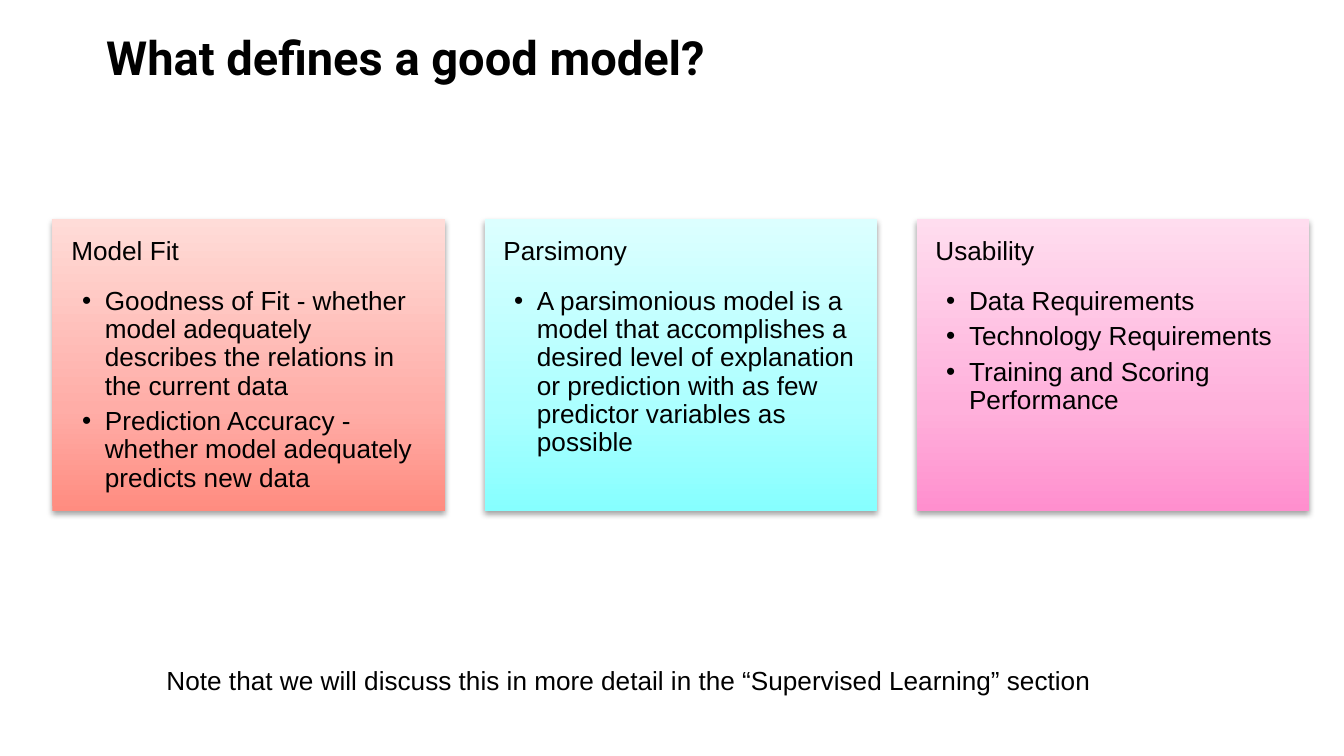
from dataclasses import dataclass

from lxml import etree
from pptx import Presentation
from pptx.dml import color
from pptx.enum import shapes, text
from pptx.oxml import ns
from pptx.util import Inches, Pt


@dataclass(frozen=True)
class Theme:
    ink: str = "000000"
    title_font: str = "Roboto"
    body_font: str = "Arial"
    title_size: float = 25.2
    body_size: float = 14
    coral: tuple = ("FF8C80", "FFADA7", "FFDCD8")
    aqua: tuple = ("86FFFF", "ACFFFF", "DCFFFF")
    pink: tuple = ("FF8FCE", "FFB0DB", "FFDDEF")
    stops: tuple = (0, 35, 100)


THEME = Theme()
CARDS = [
    ("Model Fit", THEME.coral, [
        "Goodness of Fit - whether model adequately describes the relations in the current data",
        "Prediction Accuracy - whether model adequately predicts new data",
    ]),
    ("Parsimony", THEME.aqua, [
        "A parsimonious model is a model that accomplishes a desired level of "
        "explanation or prediction with as few predictor variables as possible",
    ]),
    ("Usability", THEME.pink, [
        "Data Requirements",
        "Technology Requirements",
        "Training and Scoring Performance",
    ]),
]
CARD_LEFT, CARD_RIGHT, CARD_TOP = 0.39, 9.74, 1.63
CARD_WIDTH, CARD_HEIGHT = 2.92, 2.17
CARD_STEP = (CARD_RIGHT - CARD_WIDTH - CARD_LEFT) / (len(CARDS) - 1)


def add_node(parent, tag, **attributes):
    return etree.SubElement(parent, ns.qn(tag), **attributes)


def set_frame(frame, inset):
    frame.word_wrap = True
    frame.auto_size = text.MSO_AUTO_SIZE.NONE
    frame.vertical_anchor = text.MSO_ANCHOR.TOP
    frame.margin_left = frame.margin_right = Inches(inset)
    frame.margin_top = frame.margin_bottom = Inches(inset)


def add_span(para, words, font=THEME.body_font, size=THEME.body_size, bold=False):
    para.alignment = text.PP_ALIGN.LEFT
    span = para.add_run()
    span.text = words
    span.font.name = font
    span.font.size = Pt(size)
    span.font.bold = bold
    span.font.color.rgb = color.RGBColor.from_string(THEME.ink)


def add_bullet(para):
    para.level = 1
    properties = para._p.get_or_add_pPr()
    properties.set("marL", str(Inches(0.25)))
    properties.set("indent", str(Inches(-0.17)))
    bullet_color = add_node(properties, "a:buClr")
    add_node(bullet_color, "a:srgbClr", val=THEME.ink)
    add_node(properties, "a:buFont", typeface=THEME.body_font)
    add_node(properties, "a:buChar", char="•")


def set_gradient(box, colors):
    box.fill.gradient()
    box.fill.gradient_angle = 90
    stop_list = box._element.spPr.find(".//" + ns.qn("a:gsLst"))
    for stop in list(stop_list):
        stop_list.remove(stop)
    for position, value in zip(THEME.stops, colors):
        stop = add_node(stop_list, "a:gs", pos=str(position * 1000))
        add_node(stop, "a:srgbClr", val=value)


def set_shadow(box):
    box.shadow.inherit = False
    effects = box._element.spPr.find(ns.qn("a:effectLst"))
    shadow = add_node(effects, "a:outerShdw", blurRad=str(Pt(3.1)),
                      dist=str(Pt(1.6)), dir="5400000", rotWithShape="0")
    shade = add_node(shadow, "a:srgbClr", val=THEME.ink)
    add_node(shade, "a:alpha", val="37000")


def add_title(page, words):
    title = page.shapes.title
    title.left, title.top = Inches(0.69), Inches(0.11)
    title.width, title.height = Inches(9.05), Inches(0.63)
    set_frame(title.text_frame, 0.1)
    add_span(title.text_frame.paragraphs[0], words,
             THEME.title_font, THEME.title_size, True)


def add_card(page, left, heading, colors, points):
    group = page.shapes.add_group_shape()
    area = [Inches(n) for n in (left, CARD_TOP, CARD_WIDTH, CARD_HEIGHT)]
    box = group.shapes.add_shape(shapes.MSO_SHAPE.RECTANGLE, *area)
    set_gradient(box, colors)
    box.line.fill.background()
    set_shadow(box)

    frame = group.shapes.add_textbox(*area).text_frame
    set_frame(frame, 0.14)
    para = frame.paragraphs[0]
    para.line_spacing = 0.9
    add_span(para, heading)
    for index, point in enumerate(points):
        para = frame.add_paragraph()
        add_bullet(para)
        para.line_spacing = 0.9
        para.space_before = Pt(3.9 if index else 11.6)
        add_span(para, point)


def add_note(page, words):
    box = page.shapes.add_textbox(Inches(1.14), Inches(4.84), Inches(8.02), Inches(0.44))
    set_frame(box.text_frame, 0.1)
    box.text_frame.auto_size = text.MSO_AUTO_SIZE.SHAPE_TO_FIT_TEXT
    add_span(box.text_frame.paragraphs[0], words)


def main():
    deck = Presentation()
    deck.slide_width = Inches(10)
    deck.slide_height = deck.slide_width * 9 // 16
    page = deck.slides.add_slide(deck.slide_layouts[5])
    add_title(page, "What defines a good model?")
    for index, card in enumerate(CARDS):
        add_card(page, CARD_LEFT + index * CARD_STEP, *card)
    add_note(page, "Note that we will discuss this in more detail in the “Supervised Learning” section")
    deck.save("out.pptx")


if __name__ == "__main__":
    main()
